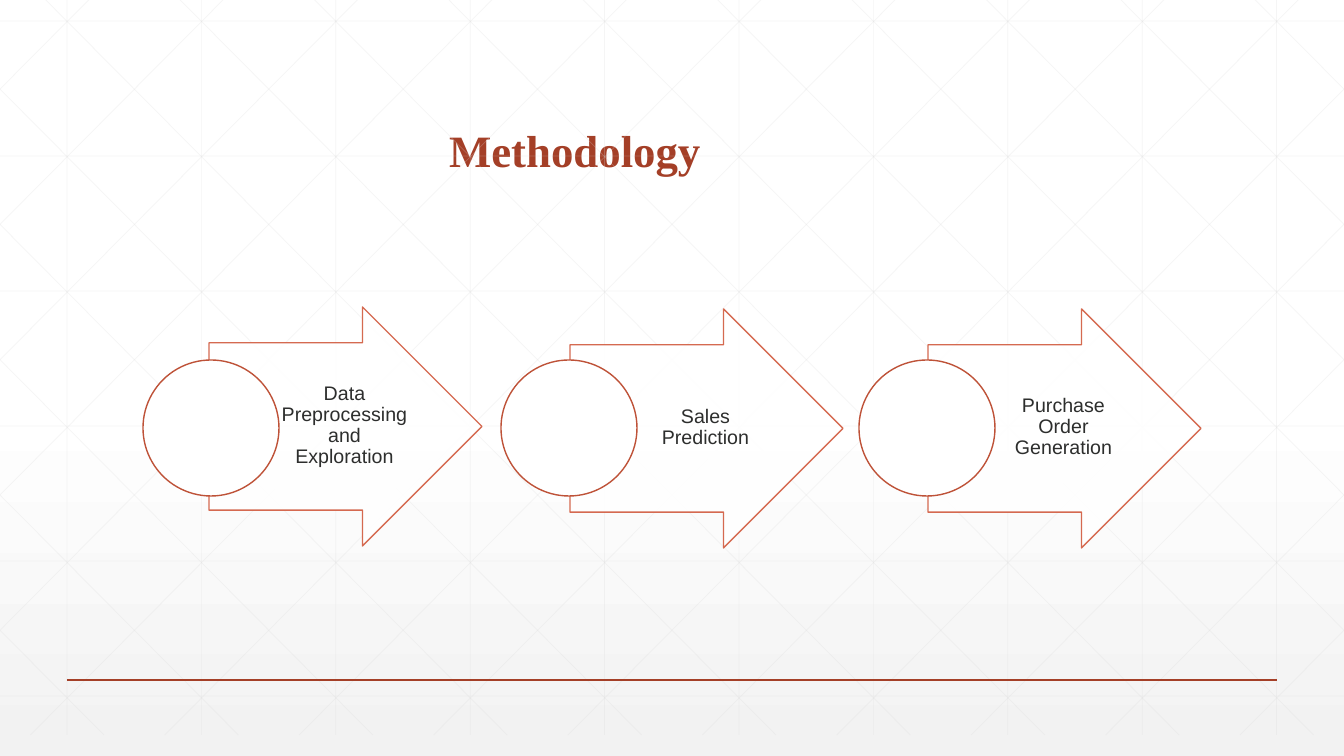
from lxml import etree
from pptx import Presentation
from pptx.dml.color import RGBColor
from pptx.enum.shapes import MSO_CONNECTOR, MSO_SHAPE
from pptx.enum.text import MSO_ANCHOR, MSO_AUTO_SIZE, PP_ALIGN
from pptx.oxml.ns import qn
from pptx.util import Emu, Pt

STRAIGHT = MSO_CONNECTOR.STRAIGHT
RIGHT_ARROW, OVAL = MSO_SHAPE.RIGHT_ARROW, MSO_SHAPE.OVAL
MIDDLE, BOTTOM = MSO_ANCHOR.MIDDLE, MSO_ANCHOR.BOTTOM
NO_AUTOFIT = MSO_AUTO_SIZE.NONE
LEFT, CENTER = PP_ALIGN.LEFT, PP_ALIGN.CENTER

WHITE = RGBColor(0xFF, 0xFF, 0xFF)
PALE_GRAY = RGBColor(0xF2, 0xF2, 0xF2)
GRID_GRAY = RGBColor(0xD9, 0xD9, 0xD9)
RUST = RGBColor(0xA4, 0x3F, 0x27)
ARROW_RED = RGBColor(0xD1, 0x5A, 0x3E)
CIRCLE_RED = RGBColor(0xBE, 0x52, 0x38)
INK = RGBColor(0x2D, 0x2E, 0x2D)

WIDTH, HEIGHT = 1344, 756
GRID_TOP, GRID_BOTTOM = -21, 735
GRID_STEP = WIDTH / 10
DIAGONAL_START, DIAGONAL_RUN = 25, 751
STEPS = [
    ("Data Preprocessing and Exploration", 209, 307),
    ("Sales Prediction", 570, 309),
    ("Purchase Order Generation", 928, 309),
]


def px(value):
    return Emu(round(value * 914400 / 100.8))


def set_alpha(element, percent):
    for color in element.iter(qn("a:srgbClr")):
        etree.SubElement(color, qn("a:alpha"), val=str(percent * 1000))


class SlideBuilder:
    title_font = "Times New Roman"
    body_font = "Arial"

    def __init__(self, presentation):
        self.slide = presentation.slides.add_slide(presentation.slide_layouts[5])

    def background(self, stops):
        fill = self.slide.background.fill
        fill.gradient()
        fill.gradient_angle = 270
        stop_list = self.slide.element.find(".//" + qn("a:gsLst"))
        for stop in list(stop_list):
            stop_list.remove(stop)
        for position, color, alpha in stops:
            stop = etree.SubElement(stop_list, qn("a:gs"), pos=str(position * 1000))
            etree.SubElement(stop, qn("a:srgbClr"), val=str(color))
            set_alpha(stop, alpha)

    def line(self, start, end, color, weight, alpha=100):
        connector = self.slide.shapes.add_connector(
            STRAIGHT, *(px(value) for value in (*start, *end)))
        connector.line.color.rgb = color
        connector.line.width = Pt(weight)
        properties = connector.element.spPr
        if alpha < 100:
            set_alpha(properties, alpha)
        etree.SubElement(properties, qn("a:effectLst"))

    def shape(self, kind, box, color, alpha=100, adjustments=()):
        shape = self.slide.shapes.add_shape(kind, *map(px, box))
        for index, value in enumerate(adjustments):
            shape.adjustments[index] = value
        shape.shadow.inherit = False
        shape.fill.solid()
        shape.fill.fore_color.rgb = WHITE
        shape.line.color.rgb = color
        shape.line.width = Pt(1)
        if alpha < 100:
            set_alpha(shape.element.spPr, alpha)

    def format_paragraph(self, paragraph, name, size, color, alignment, bold=False):
        paragraph.alignment = alignment
        paragraph.line_spacing = 0.9
        font = paragraph.font
        font.name, font.size, font.bold = name, Pt(size), bold
        font.color.rgb = color

    def title(self, text, box):
        title = self.slide.shapes.title
        title.left, title.top, title.width, title.height = map(px, box)
        frame = title.text_frame
        frame.text = text
        frame.auto_size = NO_AUTOFIT
        frame.vertical_anchor = BOTTOM
        self.format_paragraph(
            frame.paragraphs[0], self.title_font, 32, RUST, LEFT, bold=True)

    def label(self, text, box):
        frame = self.slide.shapes.add_textbox(*map(px, box)).text_frame
        frame.text = text
        frame.word_wrap = True
        frame.vertical_anchor = MIDDLE
        frame.margin_left, frame.margin_right = px(4), px(2)
        frame.margin_top = frame.margin_bottom = px(1)
        self.format_paragraph(frame.paragraphs[0], self.body_font, 14, INK, CENTER)

    def grid_line(self, start, end):
        self.line(start, end, GRID_GRAY, 0.5, alpha=25)

    def grid(self):
        for column in range(10):
            x = 67 + column * GRID_STEP
            self.grid_line((x, GRID_TOP), (x, GRID_BOTTOM))
        for row in range(6):
            y = 21 + row * 135
            self.grid_line((0, y), (WIDTH, y))
        slope = (GRID_BOTTOM - GRID_TOP) / DIAGONAL_RUN
        for index in range(-5, 10):
            origin = DIAGONAL_START + index * GRID_STEP
            left, right = max(origin, 0), min(origin + DIAGONAL_RUN, WIDTH)
            top, bottom = (GRID_TOP + (x - origin) * slope for x in (left, right))
            self.grid_line((left, top), (right, bottom))
            self.grid_line((WIDTH - left, top), (WIDTH - right, bottom))


def main():
    presentation = Presentation()
    presentation.slide_width, presentation.slide_height = px(WIDTH), px(HEIGHT)
    builder = SlideBuilder(presentation)
    builder.background([(0, WHITE, 100), (53, WHITE, 100), (100, PALE_GRAY, 65)])
    builder.grid()
    builder.line((67, 680), (1277, 680), RUST, 1)
    builder.title("Methodology", (439, 118, 272, 64))
    for index, (text, left, top) in enumerate(STEPS):
        builder.shape(RIGHT_ARROW, (left, top, 273, 239), ARROW_RED,
                      alpha=90, adjustments=(0.7, 0.5))
        builder.label(text, (left + 68, top + 35, 133, 167))
        builder.shape(OVAL, (143 + index * 358, 360, 136, 136), CIRCLE_RED)
    presentation.save("out.pptx")


if __name__ == "__main__":
    main()
